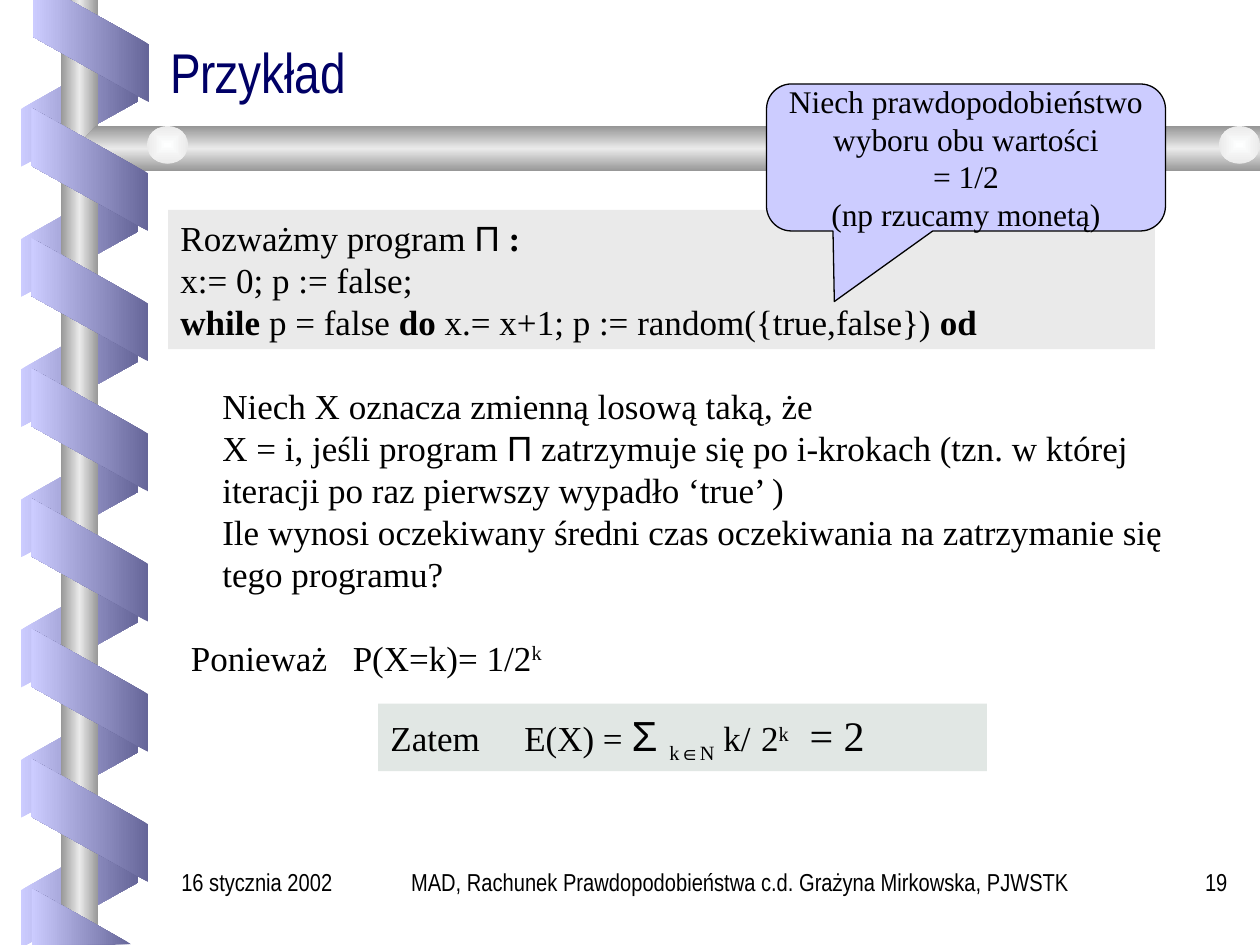
from dataclasses import dataclass
from typing import NamedTuple, Optional

from lxml.etree import SubElement as Sub
from pptx import Presentation
from pptx.dml.color import RGBColor as Rgb
from pptx.enum.shapes import MSO_SHAPE as Kind
from pptx.enum.text import MSO_ANCHOR as Anchor, PP_ALIGN as Align
from pptx.oxml.ns import qn
from pptx.util import Pt


@dataclass(frozen=True)
class Theme:
    serif: str = "Times New Roman"
    sans: str = "Arial"
    narrow: str = "Arial Narrow"
    ink: str = "000000"
    navy: str = "000066"
    lilac: str = "CCCCFF"
    violet: str = "666699"
    steel: str = "969696"
    silver: str = "EAEAEA"
    pearl: str = "FEFFFF"
    mint: str = "E1E7E4"
    white: str = "FFFFFF"
    title: int = 32
    large: int = 24
    body: int = 20
    note: int = 18
    foot: int = 14


class Box(NamedTuple):
    left: float
    top: float
    width: float
    height: float

    def points(self) -> list:
        return [Pt(v) for v in self]


class Run(NamedTuple):
    text: str
    font: Optional[str] = None
    size: Optional[int] = None
    bold: bool = False
    base: int = 0


class Band(NamedTuple):
    """One side of the helix: equal slanted strips, turned upright."""
    left: float
    top: float
    count: int
    turn: int
    flip: bool
    stops: tuple


class Panel(NamedTuple):
    box: Box
    fill: Optional[str]
    lines: list
    tabs: tuple = ()


T = Theme()
STEP = 74.4
METAL = (T.steel, T.silver, T.steel)
FRONT = (T.violet, T.lilac)
BACK = Band(10.08, 26.6, 7, 90, True, (T.lilac, T.violet))
FORE = Band(16.2, 63.4, 6, 270, False, FRONT)
TOP_END = [(18.7, 0), (18.7, 20.9), (85, 58.3), (85, 25.2), (39.6, 0)]
LOW_END = [(74.9, 539.5), (18, 507.6), (18, 540)]
BAR = [(720, 72), (54.7, 72), (43.2, 85), (54.7, 97.9), (720, 97.9)]

PROGRAM = Panel(Box(96, 120, 564, 79.5), T.silver, [[
    Run("Rozważmy program "), Run("Π", T.sans), Run(" :\n", bold=True),
    Run("x:= 0; p := false;\n"), Run("while", bold=True),
    Run(" p = false "), Run("do", bold=True),
    Run(" x.= x+1; p := random({true,false}) "), Run("od", bold=True)]])
CHANCE = Panel(Box(102, 360, 264, 31.5), T.white, [[
    Run("Ponieważ\tP(X=k)= 1/2"), Run("k", base=30)]], (92.5,))
RESULT = Panel(Box(216, 402, 348, 38.7), T.mint, [[
    Run("Zatem\tE(X) = "), Run("Σ ", T.sans, T.large),
    Run("k", base=-25), Run("∈", T.sans, base=-25), Run("N", base=-25),
    Run(" k/"), Run(" ", size=T.large), Run("2"), Run("k", base=30),
    Run("\t= 2", size=T.large)]], (76.5, 239.5))
TASK = Panel(Box(120, 216, 576, 127.5), None, [[
    Run("Niech X oznacza zmienną losową taką, że\nX = i, jeśli program "),
    Run("Π", T.sans),
    Run(" zatrzymuje się po i-krokach (tzn. w której iteracji po raz "
        "pierwszy wypadło ‘true’ )\nIle wynosi oczekiwany średni czas "
        "oczekiwania na zatrzymanie się tego programu?")]])
NOTE = [[Run("Niech prawdopodobieństwo\nwyboru obu wartości\n= 1/2")],
        [Run("(np rzucamy monetą)")]]
FOOT = [
    (Box(186, 492, 474, 36), Align.CENTER,
     "MAD, Rachunek Prawdopodobieństwa c.d. Grażyna Mirkowska, PJWSTK"),
    (Box(648, 492, 60.5, 36), Align.RIGHT, "19"),
    (Box(96.5, 492, 101.5, 36), Align.LEFT, "16 stycznia 2002")]


def plain(shape, fill: Optional[str] = None):
    shape.shadow.inherit = False
    shape.line.fill.background()
    if fill:
        shape.fill.solid()
        shape.fill.fore_color.rgb = Rgb.from_string(fill)
    return shape


def shade(shape, stops: tuple, angle: Optional[int] = None) -> None:
    """Blend evenly spaced colours; without an angle, from the centre out."""
    plain(shape).fill.gradient()
    grad = shape._element.spPr.find(qn("a:gradFill"))
    for child in list(grad):
        grad.remove(child)
    grad.set("rotWithShape", "0")
    row = Sub(grad, qn("a:gsLst"))
    for i, tint in enumerate(stops):
        stop = Sub(row, qn("a:gs"), pos=str(100000 * i // (len(stops) - 1)))
        Sub(stop, qn("a:srgbClr"), val=tint)
    if angle is None:
        way = Sub(grad, qn("a:path"), path="rect")
        Sub(way, qn("a:fillToRect"), l="50000", t="50000", r="50000", b="50000")
    else:
        Sub(grad, qn("a:lin"), ang=str(angle * 60000), scaled="0")


def write(shape, lines: list, *, font: str = T.serif, size: int = T.body,
          tint: str = T.ink, align=Align.LEFT, anchor=Anchor.TOP,
          wrap: bool = True, tabs: tuple = (), pitch: Optional[float] = None):
    frame = shape.text_frame
    frame.word_wrap, frame.vertical_anchor = wrap, anchor
    for i, line in enumerate(lines):
        para = frame.add_paragraph() if i else frame.paragraphs[0]
        para.alignment = align
        if tabs:
            stops = Sub(para._p.get_or_add_pPr(), qn("a:tabLst"))
            for spot in tabs:
                Sub(stops, qn("a:tab"), pos=str(Pt(spot)), algn="l")
        if pitch:
            para.line_spacing = pitch
        for part in line:
            for j, text in enumerate(part.text.split("\n")):
                if j:
                    para.add_line_break()
                if not text:
                    continue
                run = para.add_run()
                run.text = text
                run.font.name = part.font or font
                run.font.size = Pt(part.size or size)
                run.font.bold = part.bold
                run.font.color.rgb = Rgb.from_string(tint)
                if part.base:
                    run.font._element.set("baseline", str(part.base * 1000))


def shape_at(shapes, kind, box: Box):
    return shapes.add_shape(kind, *box.points())


def draw_band(shapes, band: Band) -> None:
    for i in range(band.count):
        box = Box(band.left, band.top + i * STEP, 70.5, 67)
        strip = shape_at(shapes, Kind.PARALLELOGRAM, box)
        strip.adjustments[0] = 0.56
        strip.rotation = band.turn
        if band.flip:
            strip._element.spPr.xfrm.set("flipH", "1")
        shade(strip, band.stops, 180)


def draw_form(shapes, dots: list, stops: tuple, angle: int) -> None:
    pen = shapes.build_freeform(*(Pt(v) for v in dots[0]))
    pen.add_line_segments([(Pt(x), Pt(y)) for x, y in dots[1:]])
    shade(pen.convert_to_shape(), stops, angle)


def draw_panel(shapes, panel: Panel) -> None:
    if panel.fill:
        shape = plain(shape_at(shapes, Kind.RECTANGLE, panel.box), panel.fill)
    else:
        shape = shapes.add_textbox(*panel.box.points())
    write(shape, panel.lines, tabs=panel.tabs)


def draw_frame(shapes) -> None:
    draw_band(shapes, BACK)
    shade(shape_at(shapes, Kind.RECTANGLE, Box(34.7, 0, 21.6, 540)), METAL, 180)
    draw_form(shapes, BAR, METAL, 90)
    for left in (84, 696.5):
        shade(shape_at(shapes, Kind.OVAL, Box(left, 72, 23.5, 21.6)),
              (T.pearl, T.silver))
    draw_band(shapes, FORE)
    for end in (TOP_END, LOW_END):
        draw_form(shapes, end, FRONT, 180)


def main() -> None:
    deck = Presentation()
    deck.slide_width, deck.slide_height = Pt(720), Pt(540)
    shapes = deck.slides.add_slide(deck.slide_layouts[5]).shapes
    draw_frame(shapes)
    title = shapes.title
    title.left, title.top, title.width, title.height = Box(90, 18, 612, 45).points()
    write(title, [[Run("Przykład")]], font=T.narrow, size=T.title, tint=T.navy,
          anchor=Anchor.BOTTOM, pitch=0.8)
    for panel in (PROGRAM, CHANCE):
        draw_panel(shapes, panel)
    note = plain(shape_at(shapes, Kind.ROUNDED_RECTANGULAR_CALLOUT,
                          Box(438, 48, 228, 84)), T.lilac)
    for i, value in enumerate((-0.33, 0.98, 0.17)):
        note.adjustments[i] = value
    note.line.color.rgb = Rgb.from_string(T.ink)
    note.line.width = Pt(0.75)
    write(note, NOTE, size=T.note, align=Align.CENTER, anchor=Anchor.MIDDLE,
          wrap=False)
    for panel in (RESULT, TASK):
        draw_panel(shapes, panel)
    for box, align, text in FOOT:
        write(shapes.add_textbox(*box.points()), [[Run(text)]],
              font=T.narrow, size=T.foot, align=align)
    deck.save("out.pptx")


if __name__ == "__main__":
    main()
